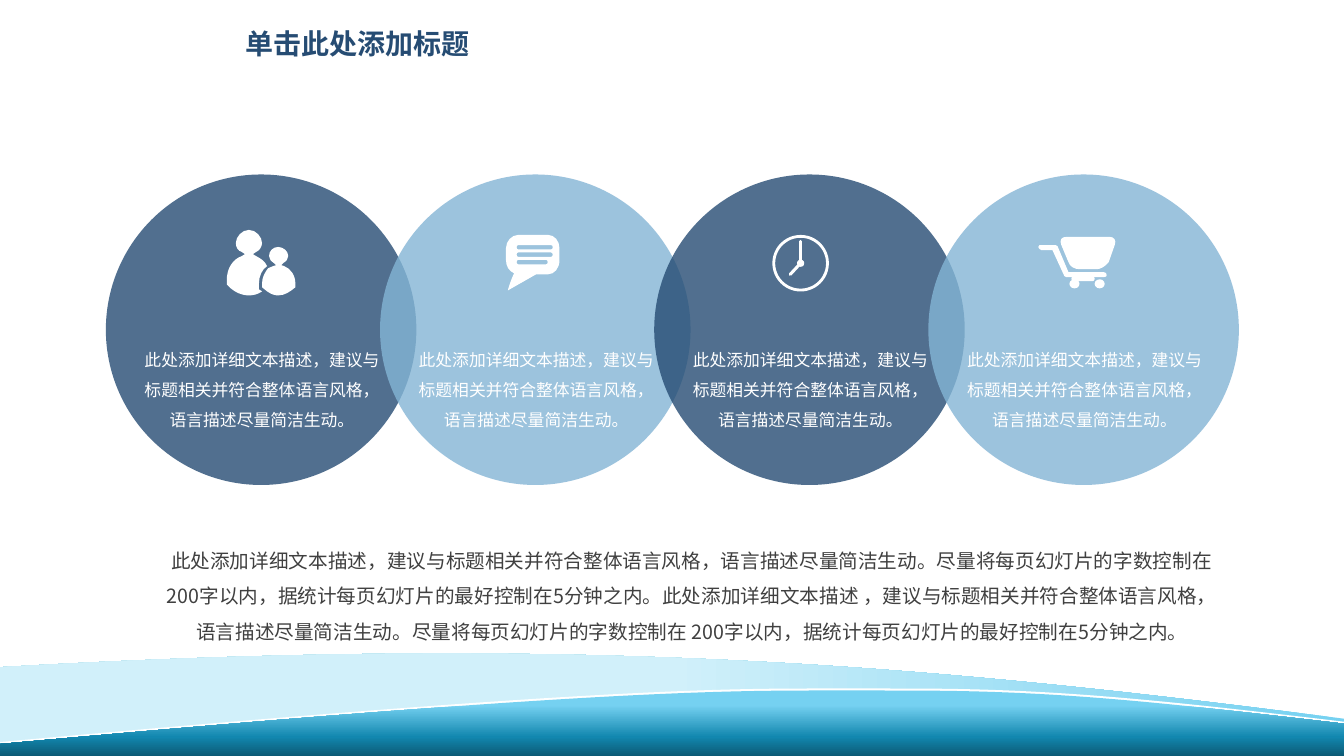
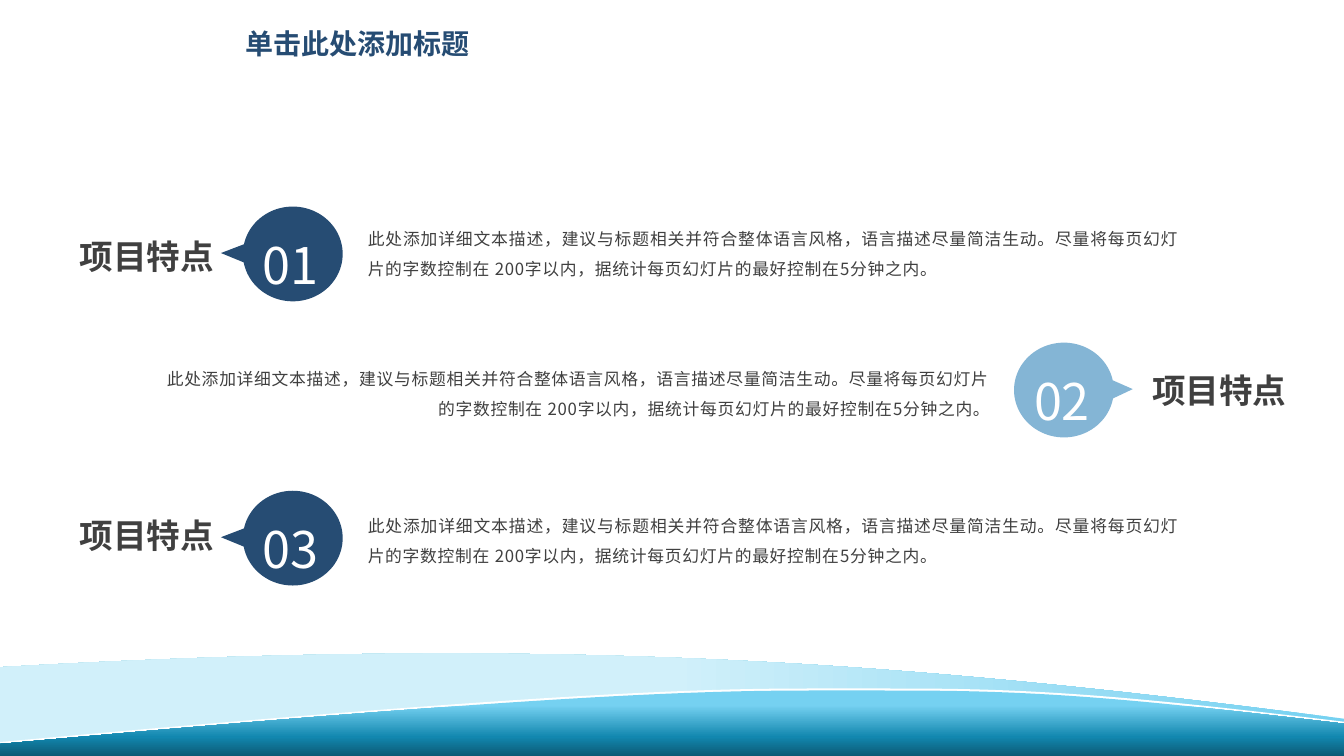
from lxml import etree
from pptx import Presentation
from pptx import util as u
from pptx.dml.color import RGBColor
from pptx.enum import shapes as kinds, text as txt
from pptx.oxml.ns import qn

Pt = u.Pt
WIDTH, HEIGHT = 960, 540
COLOURS = {
    "navy": "264C73", "sky": "84B5D5", "white": "FFFFFF", "grey": "404040",
    "cyan": "75D1F1", "mist": "D1F0FA", "teal": "1287AF", "deep": "0C5A75",
}
CJK = "Noto Sans CJK SC"
TITLE = "单击此处添加标题"
SHORT = "此处添加详细文本描述，建议与标题相关并符合整体语言风格，语言描述尽量简洁生动。"
LIMIT = "尽量将每页幻灯片的字数控制在 200字以内，据统计每页幻灯片的最好控制在5分钟之内。"
LONG = SHORT + LIMIT
SUMMARY = LONG + LONG.replace("描述，建议", "描述 ，建议", 1)

# Outlines are lists of steps: two numbers draw a line, six draw a Bezier curve.
BACK_WAVE = [(0, 476.6), (426.2, 452.2, 671.8, 476.6, 960, 513.4), (960, 527.8),
             (627.8, 461.5, 347.8, 517, 0, 533.5)]
CREST = [(0, 530), (373.7, 496.1, 495.4, 491.8, 574.6, 491.8),
         (601.2, 491.4, 622.8, 491.8, 647.3, 491.8),
         (745.9, 491.8, 814.3, 498.2, 960, 515.5)]
ADULT = [(109.4, 82.1), (109.4, 77.8), (109.4, 72.7, 111.6, 67.7, 115.2, 65.5),
         (113.8, 61.9, 110.2, 59.8, 107.3, 58.3), (105.1, 56.9), (107.3, 55.4),
         (109.4, 54.7, 111.6, 51.8, 111.6, 49), (111.6, 44.6, 107.3, 39.6, 102.2, 39.6),
         (97.2, 39.6, 92.9, 44.6, 92.9, 49), (92.9, 51.8, 94.3, 54.7, 97.2, 55.4),
         (99.4, 56.9), (97.2, 58.3), (90.7, 60.5, 86.4, 67, 86.4, 75.6), (86.4, 78.5),
         (90, 82.8, 95.8, 86.4, 102.2, 86.4), (105.1, 86.4, 108.7, 85.7, 111.6, 83.5)]
CHILD = [(127.4, 65.5), (125.3, 64.8), (126.7, 63.4),
         (128.9, 61.9, 130.3, 60.5, 130.3, 58.3), (130.3, 54.7, 126.7, 51.8, 123.1, 51.8),
         (119.5, 51.8, 116.6, 54.7, 116.6, 58.3), (116.6, 60.5, 118.1, 61.9, 120.2, 63.4),
         (121.7, 64.8), (119.5, 65.5), (115.9, 67),
         (113.8, 69.8, 111.6, 73.4, 111.6, 77.8), (111.6, 80.6), (115.2, 83.5),
         (118.1, 85.7, 121, 86.4, 123.1, 86.4), (128.2, 86.4, 131.8, 83.5, 135.4, 80.6),
         (135.4, 77.8), (135.4, 72, 131.8, 67, 127.4, 65.5)]
BUBBLE = [(120.2, 43.2), (98.6, 43.2), (94.3, 43.2, 90, 47.5, 90, 52.6), (90, 61.2),
          (90, 65.5, 92.2, 69.1, 95.8, 70.6), (92.2, 78.5, 91.4, 82.8, 91.4, 82.8),
          (111.6, 71.3), (120.2, 71.3), (124.6, 71.3, 128.2, 67, 128.2, 61.2),
          (128.2, 52.6), (128.2, 47.5, 124.6, 43.2, 120.2, 43.2)]
BASKET = [(120.2, 67.7), (123.1, 67.7, 126.7, 65.5, 128.9, 62.6), (133.2, 50.4),
          (134.6, 46.8, 132.5, 44.6, 129.6, 44.6), (98.6, 44.6),
          (95, 44.6, 93.6, 46.8, 95, 50.4), (100.1, 62.6),
          (100.8, 65.5, 104.4, 67.7, 108, 67.7)]
FRAME = [(98.6, 73.4), (97.2, 72.7), (88.6, 54), (80.6, 54),
         (79.9, 54, 78.5, 52.6, 78.5, 51.8), (78.5, 50.4, 79.9, 50.4, 80.6, 50.4),
         (90.7, 50.4), (92.2, 51.1), (100.1, 69.8), (125.3, 69.8),
         (126.7, 69.8, 127.4, 70.6, 127.4, 72), (127.4, 72.7, 126.7, 73.4, 125.3, 73.4)]


def rgb(colour):
    return RGBColor.from_string(COLOURS[colour])


def paint(shape, colour):
    shape.shadow.inherit = False
    shape.line.fill.background()
    shape.fill.solid()
    shape.fill.fore_color.rgb = rgb(colour)
    return shape


def paint_gradient(shape, stops, angle):
    """Fill with (percent, colour) stops; the angle runs counter-clockwise."""
    shape.fill.gradient()
    shape.fill.gradient_angle = angle
    stop_list = shape.element.spPr.find(qn("a:gradFill")).find(qn("a:gsLst"))
    for stop in list(stop_list):
        stop_list.remove(stop)
    for percent, colour in stops:
        stop = etree.SubElement(stop_list, qn("a:gs"), pos=str(percent * 1000))
        etree.SubElement(stop, qn("a:srgbClr"), val=COLOURS[colour])


def set_opacity(shape, percent):
    colour = shape.element.spPr.find(qn("a:solidFill"))[0]
    etree.SubElement(colour, qn("a:alpha"), val=str(percent * 1000))


def bend(shape, contours):
    """Join the three lines of each six-number step into one Bezier curve."""
    lines = iter(list(shape.element.spPr.iter(qn("a:lnTo"))))
    for step in (step for contour in contours for step in contour[1:]):
        legs = [next(lines) for _ in range(len(step) // 2)]
        if len(legs) == 3:
            curve = legs[0].makeelement(qn("a:cubicBezTo"))
            legs[0].addprevious(curve)
            for leg in legs:
                curve.append(leg[0])
                leg.getparent().remove(leg)


def add_outline(shapes, contours, colour, left=0, top=0):
    """Draw closed contours as one shape; inner contours become holes."""
    builder = None
    for contour in contours:
        points = [(Pt(left + x), Pt(top + y)) for step in contour
                  for x, y in zip(step[::2], step[1::2])]
        if builder is None:
            builder = shapes.build_freeform(*points[0], scale=1.0)
        else:
            builder.move_to(*points[0])
        builder.add_line_segments(points[1:], close=True)
    outline = builder.convert_to_shape()
    bend(outline, contours)
    return paint(outline, colour)


def add_preset(shapes, kind, left, top, width, height, colour):
    return paint(shapes.add_shape(kind, Pt(left), Pt(top), Pt(width), Pt(height)), colour)


def add_hand(shapes, x1, y1, x2, y2):
    hand = shapes.add_connector(kinds.MSO_CONNECTOR.STRAIGHT, Pt(x1), Pt(y1), Pt(x2), Pt(y2))
    hand.line.color.rgb = rgb("white")
    hand.line.width = Pt(2.2)
    hand.element.spPr.find(qn("a:ln")).set("cap", "rnd")
    etree.SubElement(hand.element.spPr, qn("a:effectLst"))


def write(frame, words, size, colour, font=CJK, bold=False, align="LEFT",
          spacing=None, tracking=0):
    frame.text = words
    frame.vertical_anchor = txt.MSO_ANCHOR.TOP
    frame.auto_size = txt.MSO_AUTO_SIZE.NONE
    paragraph = frame.paragraphs[0]
    paragraph.alignment = getattr(txt.PP_ALIGN, align)
    paragraph.line_spacing = spacing
    run = paragraph.runs[0]
    run.font.size, run.font.bold, run.font.name = Pt(size), bold, font
    run.font.color.rgb = rgb(colour)
    properties = run.font._element
    properties.find(qn("a:latin")).addnext(properties.makeelement(qn("a:ea"), typeface=CJK))
    if tracking:
        properties.set("spc", str(int(tracking * 100)))


def add_text(shapes, left, top, width, height, words, size, colour, inset=True, **style):
    frame = shapes.add_textbox(Pt(left), Pt(top), Pt(width), Pt(height)).text_frame
    frame.word_wrap = True
    if not inset:
        frame.margin_left = frame.margin_right = frame.margin_top = frame.margin_bottom = 0
    write(frame, words, size, colour, **style)


def pill(left, top, right, bottom):
    r = (bottom - top) / 2
    return [(left + r, top), (right - r, top), (right, top, right, bottom, right - r, bottom),
            (left + r, bottom), (left, bottom, left, top, left + r, top)]


def draw_people(shapes, left, top):
    for person in (ADULT, CHILD):
        add_outline(shapes, [person], "white", left, top)


def draw_chat(shapes, left, top):
    lines = [pill(97.2, 50.4 + 5.3 * row, right, 53.6 + 5.3 * row)
             for row, right in enumerate((123.8, 123.8, 120.2))]
    add_outline(shapes, [BUBBLE] + lines, "white", left, top)


def draw_clock(shapes, left, top):
    x, y = left + 104.6, top + 63.4
    kind = kinds.MSO_SHAPE
    dial = add_preset(shapes, kind.DONUT, x - 20.2, y - 20.2, 40.4, 40.4, "white")
    dial.adjustments[0] = 0.05
    add_hand(shapes, x, y, x, y - 15.5)
    add_hand(shapes, x, y, x - 7.4, y + 8)
    add_preset(shapes, kind.OVAL, x - 2.6, y - 2.6, 5.2, 5.2, "white")


def draw_cart(shapes, left, top):
    kind = kinds.MSO_SHAPE
    for part in (BASKET, FRAME):
        add_outline(shapes, [part], "white", left, top)
    for wheel in (100.8, 118.8):
        add_preset(shapes, kind.OVAL, left + wheel, top + 74.9, 7.2, 6.5, "white")
    axle = add_preset(shapes, kind.ROUNDED_RECTANGLE, left + 102.2, top + 72.7, 16.6, 3.6, "white")
    axle.adjustments[0] = 0.5


def add_waves(slide):
    """Draw the footer waves and move them to the layout, behind its placeholders."""
    def below(offset):
        return [tuple(v + offset * (n % 2) for n, v in enumerate(step)) for step in CREST] + [
            (WIDTH, HEIGHT), (0, HEIGHT)]

    back = add_outline(slide.shapes, [BACK_WAVE], "mist")
    paint_gradient(back, [(0, "cyan"), (50, "mist"), (100, "mist")], 180)
    rim = add_outline(slide.shapes, [below(0)], "white")
    front = add_outline(slide.shapes, [below(1.5)], "teal")
    paint_gradient(front, [(23, "cyan"), (71, "teal"), (100, "deep")], 270)
    for n, wave in enumerate((back, rim, front)):
        wave.element.nvSpPr.cNvPr.set("id", str(100 + n))
        slide.slide_layout.shapes.element.insert(2 + n, wave.element)


def add_slide(prs, layout):
    slide = prs.slides.add_slide(layout)
    frame = slide.shapes.title.text_frame
    write(frame, TITLE, 20, "navy", font="Arial", bold=True, spacing=1.3)
    return slide


def add_circle(slide, index, draw_icon):
    left, top, size = 75.6 + 195.84 * index, 124.6, 221.8
    shapes = slide.shapes.add_group_shape().shapes
    disc = add_preset(shapes, kinds.MSO_SHAPE.OVAL, left, top, size, size,
                      ("navy", "sky")[index % 2])
    set_opacity(disc, 80)
    draw_icon(shapes, left, top)
    add_text(shapes, left + 17.3, 239, 188.6, 72.7, SHORT, 12, "white",
             align="CENTER", spacing=1.5)


def add_feature(slide, number, top, detail_top, label_top):
    on_right = number % 2 == 0
    if on_right:
        left, label_left, detail, colour, tail = 724.3, 815.8, (105.8, 608.4), "sky", (0.69, -0.01)
    else:
        left, label_left, detail, colour, tail = 173.5, 49.7, (255.6, 594), "navy", (-0.72, -0.01)
    shapes = slide.shapes.add_group_shape().shapes
    badge = add_preset(shapes, kinds.MSO_SHAPE.OVAL_CALLOUT, left, top, 71.3, 67.7, colour)
    badge.adjustments[0], badge.adjustments[1] = tail
    add_text(shapes, left + 7.2, top - 5.8, 60, 64.8, f"{number:02}", 36, "white",
             align="JUSTIFY", spacing=1.5)
    add_text(shapes, detail[0], detail_top, detail[1], 48.2, LONG, 12, "grey",
             align="RIGHT" if on_right else "JUSTIFY", spacing=1.5, tracking=0.5)
    add_text(slide.shapes, label_left, label_top, 114, 36, "项目特点", 24, "grey",
             font="Montserrat", bold=True)


def main():
    prs = Presentation()
    prs.slide_width, prs.slide_height = Pt(WIDTH), Pt(HEIGHT)
    layout = prs.slide_layouts[5]
    heading = layout.placeholders[0]
    heading.left, heading.top, heading.width, heading.height = Pt(167.8), Pt(7.9), Pt(240), Pt(36)

    circles = add_slide(prs, layout)
    add_waves(circles)
    add_text(circles.shapes, 112.3, 383.8, 763.9, 78.5, SUMMARY, 14, "grey",
             inset=False, align="CENTER", spacing=1.5)
    for index, draw_icon in enumerate((draw_people, draw_chat, draw_clock, draw_cart)):
        add_circle(circles, index, draw_icon)

    features = add_slide(prs, layout)
    tops = [(147.6, 152.6, 164.9), (244.8, 252.7, 260.6), (350.6, 357.8, 364.3)]
    for number, row in enumerate(tops, 1):
        add_feature(features, number, *row)

    prs.save("out.pptx")


if __name__ == "__main__":
    main()
